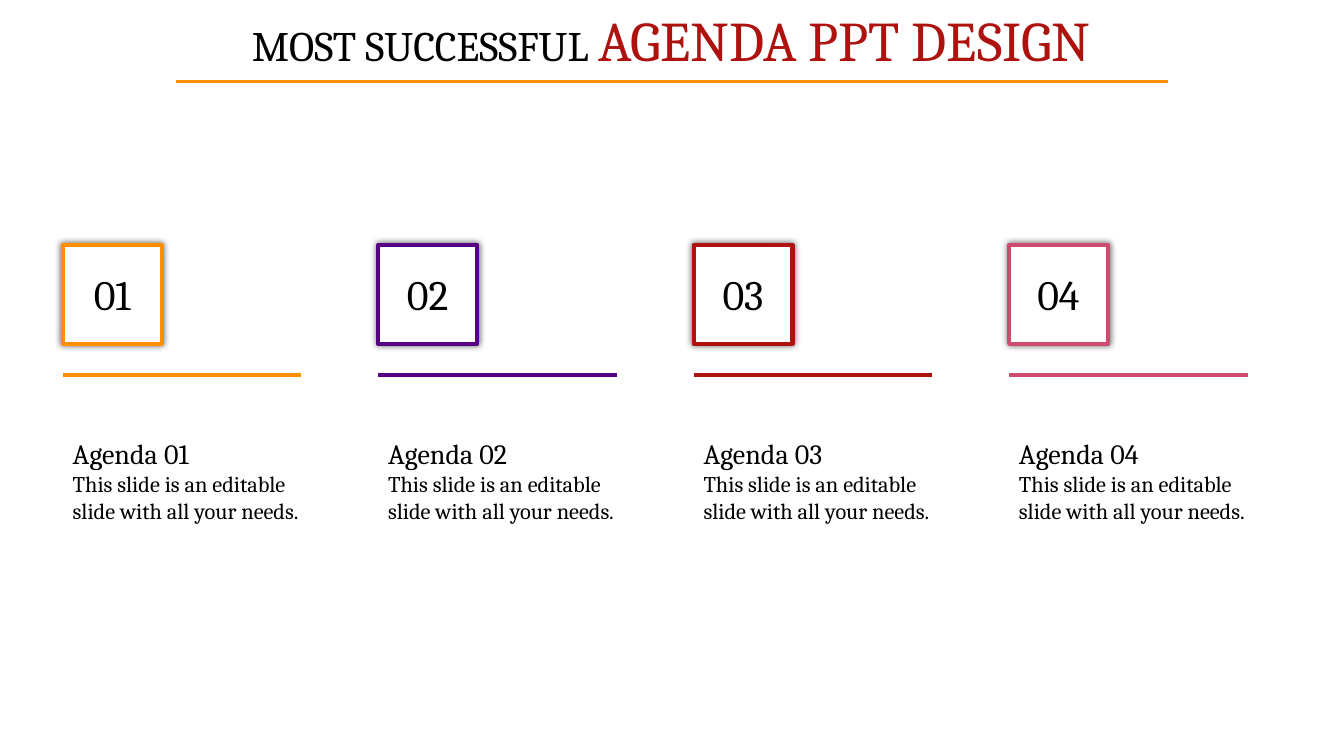
from lxml import etree
from pptx import Presentation
from pptx.dml.color import RGBColor
from pptx.enum.shapes import MSO_CONNECTOR, MSO_SHAPE
from pptx.enum.text import MSO_ANCHOR, MSO_AUTO_SIZE, PP_ALIGN
from pptx.oxml.ns import qn
from pptx.util import Pt

STRAIGHT = MSO_CONNECTOR.STRAIGHT
RECTANGLE = MSO_SHAPE.RECTANGLE
TOP = MSO_ANCHOR.TOP
FIT_SHAPE = MSO_AUTO_SIZE.SHAPE_TO_FIT_TEXT
LEFT, CENTER = PP_ALIGN.LEFT, PP_ALIGN.CENTER

COLORS = {
    "black": "000000",
    "white": "FFFFFF",
    "orange": "FF8E01",
    "purple": "560086",
    "red": "AE120E",
    "pink": "CD4B6F",
}
AGENDA_COLORS = ["orange", "purple", "red", "pink"]
DESCRIPTION = "This slide is an editable slide with all your needs."


class AgendaPage:
    font = "Cambria"

    def __init__(self, deck):
        self.page = deck.slides.add_slide(deck.slide_layouts[5])

    def color(self, name):
        return RGBColor.from_string(COLORS[name])

    def style_span(self, span, size, color="black"):
        span.font.name = self.font
        span.font.size = Pt(size)
        span.font.color.rgb = self.color(color)

    def style_frame(self, frame, wrap):
        frame.word_wrap = wrap
        frame.auto_size = FIT_SHAPE
        frame.vertical_anchor = TOP

    def title(self, left, top, width, height, spans):
        box = self.page.shapes.title
        box.left, box.top, box.width, box.height = map(Pt, (left, top, width, height))
        self.style_frame(box.text_frame, wrap=False)
        para = box.text_frame.paragraphs[0]
        para.alignment = CENTER
        for text, size, color in spans:
            span = para.add_run()
            span.text = text
            self.style_span(span, size, color)

    def text(self, left, top, width, height, lines, align=LEFT, wrap=True):
        box = self.page.shapes.add_textbox(Pt(left), Pt(top), Pt(width), Pt(height))
        frame = box.text_frame
        self.style_frame(frame, wrap)
        frame.text = "\n".join(text for text, _ in lines)
        for para, (_, size) in zip(frame.paragraphs, lines):
            para.alignment = align
            self.style_span(para.runs[0], size)

    def rule(self, left, top, width, color, weight):
        line = self.page.shapes.add_connector(
            STRAIGHT, Pt(left), Pt(top), Pt(left + width), Pt(top))
        line.line.color.rgb = self.color(color)
        line.line.width = Pt(weight)
        etree.SubElement(line._element.spPr, qn("a:effectLst"))

    def square(self, left, top, side, color):
        box = self.page.shapes.add_shape(RECTANGLE, Pt(left), Pt(top), Pt(side), Pt(side))
        box.fill.solid()
        box.fill.fore_color.rgb = self.color("white")
        box.line.color.rgb = self.color(color)
        box.line.width = Pt(3)
        # Soft glow-like shadow on all sides
        box.shadow.inherit = False
        effects = box._element.spPr.find(qn("a:effectLst"))
        shadow = etree.SubElement(effects, qn("a:outerShdw"), blurRad=str(Pt(5)),
                                  dist="0", dir="0", algn="ctr", rotWithShape="0")
        tint = etree.SubElement(shadow, qn("a:srgbClr"), val=COLORS["black"])
        etree.SubElement(tint, qn("a:alpha"), val="60000")


def main():
    deck = Presentation()
    deck.slide_width, deck.slide_height = Pt(960), Pt(540)
    agenda = AgendaPage(deck)

    # Title and its underline
    agenda.title(156.2, 0, 646.6, 55.4, [
        ("MOST SUCCESSFUL ", 30, "black"),
        ("AGENDA PPT DESIGN", 40, "red"),
    ])
    agenda.rule(126, 58.3, 708.5, "orange", 2)

    # Four agenda columns
    first_left, pitch = 44.9, 225.3
    side, number_width = 70.6, 48.2
    for index, color in enumerate(AGENDA_COLORS):
        left = first_left + index * pitch
        number = f"{index + 1:02d}"
        agenda.square(left, 175, side, color)
        agenda.rule(left, 267.8, 170.3, color, 3)
        agenda.text(left + (side - number_width) / 2, 188.6, number_width, 43.6,
                    [(number, 30)], align=CENTER, wrap=False)
        agenda.text(left, 308.2, 194.4, 70.6,
                    [(f"Agenda {number}", 20), (DESCRIPTION, 16)])

    deck.save("out.pptx")


if __name__ == "__main__":
    main()
